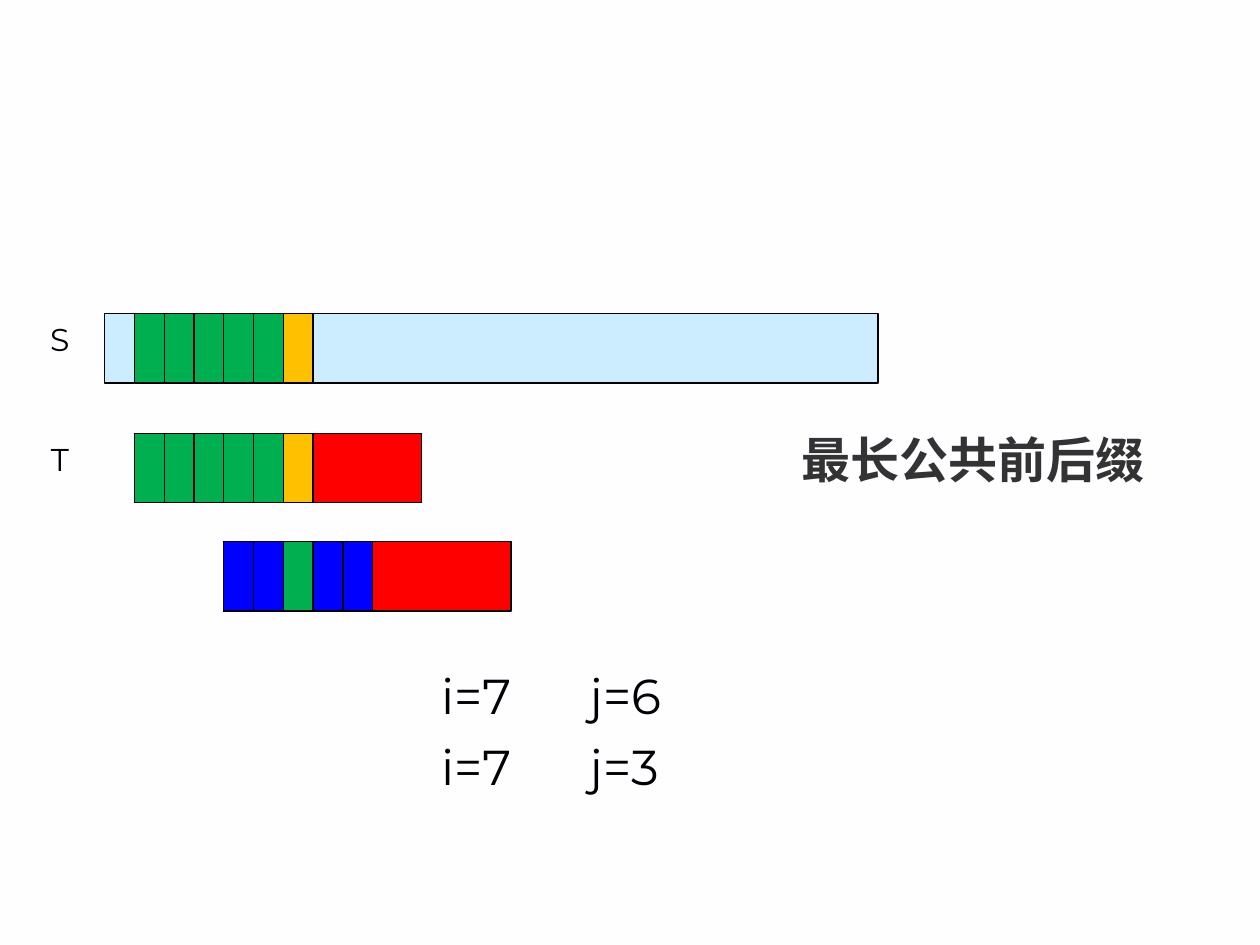
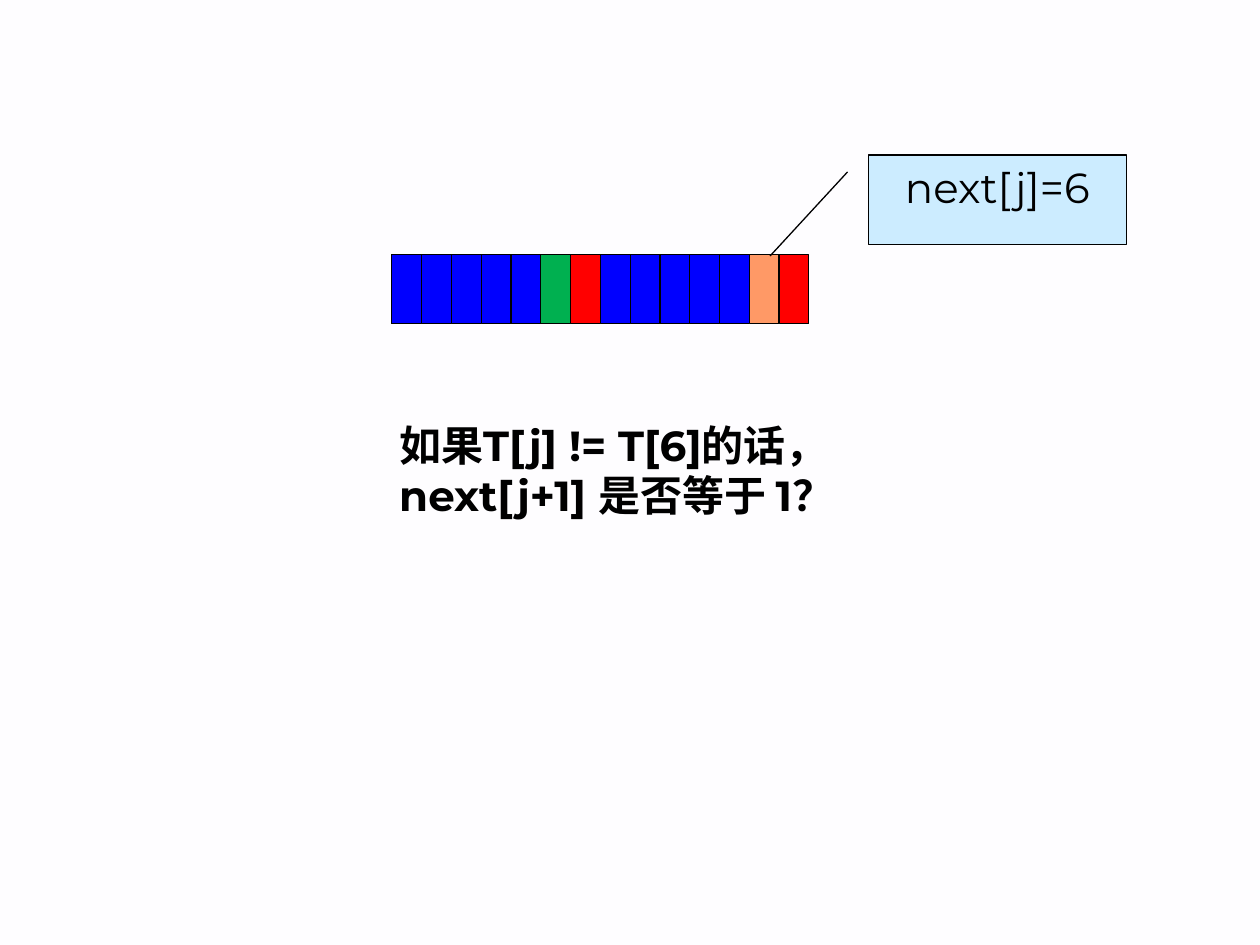
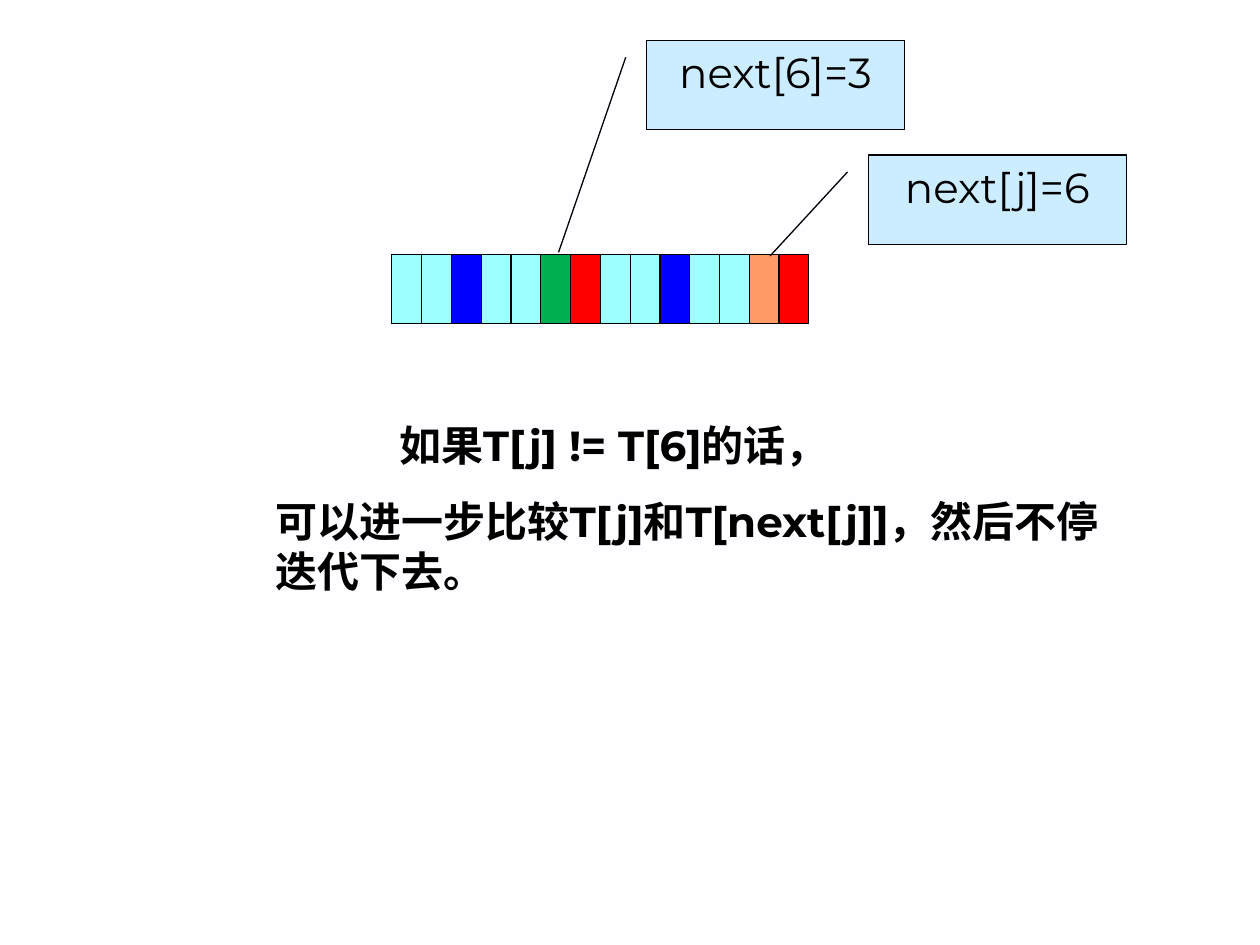
from dataclasses import dataclass

from pptx import Presentation
from pptx.dml.color import RGBColor
from pptx.enum.shapes import MSO_SHAPE
from pptx.enum.text import MSO_ANCHOR, PP_ALIGN
from pptx.util import Inches, Pt
from lxml import etree

RECT = MSO_SHAPE.RECTANGLE
CALLOUT = MSO_SHAPE.LINE_CALLOUT_1
TOP = MSO_ANCHOR.TOP
LEFT, CENTER = PP_ALIGN.LEFT, PP_ALIGN.CENTER
A = "{http://schemas.openxmlformats.org/drawingml/2006/main}"


@dataclass(frozen=True)
class Theme:
    background: str = "FEFDFF"
    ink: str = "000000"
    heading: str = "333333"
    source: str = "CCECFF"
    pattern: str = "FF0000"
    font: str = "Montserrat"
    heading_font: str = "Arial"
    label: int = 18
    body: int = 24
    large: int = 28
    line: float = 0.75


THEME = Theme()
CELL_COLORS = {"G": "00B050", "Y": "FFC000", "B": "0000FF", "O": "FF9966", "C": "9EFFFF"}
BAR_HEIGHT = 0.55
PATTERN_WIDTH = 3.31
CELL = PATTERN_WIDTH / 14
CONDITION = "如果T[j] != T[6]的话，"


def add_box(s, kind, box, fill):
    sp = s.shapes.add_shape(kind, *map(Inches, box))
    sp.shadow.inherit = False
    sp.fill.solid()
    sp.fill.fore_color.rgb = RGBColor.from_string(fill)
    sp.line.color.rgb = RGBColor.from_string(THEME.ink)
    sp.line.width = Pt(THEME.line)
    return sp


def write(sp, lines, size, align=LEFT, bold=False, font=THEME.font, color=THEME.ink):
    tf = sp.text_frame
    tf.vertical_anchor = TOP
    tf.text = "\n".join(lines)
    for p in tf.paragraphs:
        p.alignment = align
        for r in p.runs:
            r.font.name = font
            r.font.size = Pt(size)
            r.font.bold = bold
            r.font.color.rgb = RGBColor.from_string(color)


def add_text(s, box, *lines, size=THEME.body, wrap=True, **style):
    sp = s.shapes.add_textbox(*map(Inches, box))
    sp.text_frame.word_wrap = wrap
    write(sp, lines, size, **style)
    return sp


def add_bar(s, left, top, width, fill, cells, first=0):
    add_box(s, RECT, (left, top, width, BAR_HEIGHT), fill)
    for i, code in enumerate(cells, first):
        if code in CELL_COLORS:
            add_box(s, RECT, (left + i * CELL, top, CELL, BAR_HEIGHT), CELL_COLORS[code])


def add_callout(s, left, top, text, tip_y, tip_x):
    sp = add_box(s, CALLOUT, (left, top, 2.05, 0.71), THEME.source)
    for i, value in enumerate((0.19, -0.08, tip_y, tip_x)):
        sp.adjustments[i] = value
    write(sp, [text], THEME.body, align=CENTER)


def add_indices(s, left, top, i, j):
    sp = add_text(s, (left, top, 2.59, 0.57), f"i={i}\tj={j}", size=THEME.large)
    sp.text_frame.margin_left = Inches(0.41)
    pPr = sp.text_frame.paragraphs[0]._p.get_or_add_pPr()
    tabs = etree.SubElement(pPr, A + "tabLst")
    etree.SubElement(tabs, A + "tab", pos=str(Inches(1.18)), algn="l")


def matching_slide(s):
    left, source_top, pattern_top, shifted_top = 0.83, 2.49, 3.44, 4.3
    matched = "GGGGGY"
    add_bar(s, left, source_top, 6.14, THEME.source, matched, first=1)
    add_bar(s, left + CELL, pattern_top, 2.28, THEME.pattern, matched)
    add_bar(s, left + 4 * CELL, shifted_top, 2.28, THEME.pattern, "BBGBB")
    for name, top in (("S", source_top), ("T", pattern_top)):
        add_text(s, (0.12, top, 0.71, 0.4), name, size=THEME.label, align=CENTER)
    for row, j in enumerate((6, 3)):
        add_indices(s, 3.09, 5.23 + 0.57 * row, 7, j)
    add_text(s, (6.26, 3.36, 2.92, 0.57), "最长公共前后缀", size=THEME.large, wrap=False,
             align=CENTER, bold=True, font=THEME.heading_font, color=THEME.heading)


def next_slide(s, cells, *question):
    add_bar(s, 3.11, 2.02, PATTERN_WIDTH, THEME.pattern, cells)
    add_callout(s, 6.89, 1.23, "next[j]=6", 1.13, -0.38)
    add_text(s, (3.07, 3.28, 3.98, 0.9), *question, bold=True)


def main():
    prs = Presentation()
    prs.slide_width, prs.slide_height = Inches(10), Inches(7.5)
    fill = prs.slide_master.background.fill
    fill.solid()
    fill.fore_color.rgb = RGBColor.from_string(THEME.background)
    blank = prs.slide_layouts[6]

    matching_slide(prs.slides.add_slide(blank))
    next_slide(prs.slides.add_slide(blank), "BBBBBG.BBBBBO.",
               CONDITION, "next[j+1] 是否等于 1？")
    s = prs.slides.add_slide(blank)
    next_slide(s, "CCBCCG.CCBCCO.", CONDITION)
    add_callout(s, 5.13, 0.32, "next[6]=3", 2.37, -0.34)
    add_text(s, (2.09, 3.88, 6.85, 1.3),
             "可以进一步比较T[j]和T[next[j]]，然后不停迭代下去。", bold=True)
    prs.save("out.pptx")


if __name__ == "__main__":
    main()
